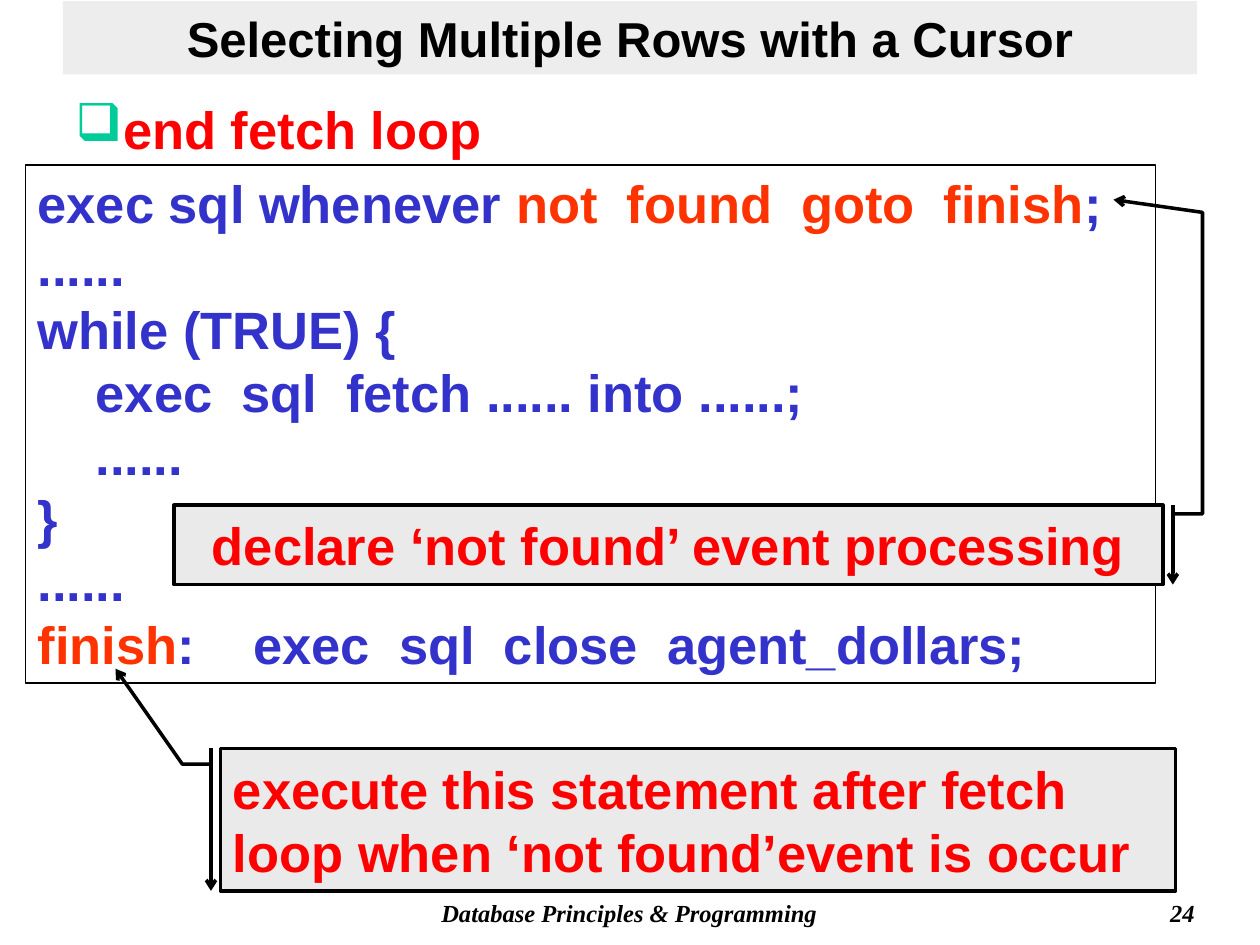
import pptx
import pptx.dml.color
import pptx.enum.shapes
import pptx.enum.text
import pptx.oxml
import pptx.oxml.ns
import pptx.util

RGBColor = pptx.dml.color.RGBColor
BLACK = RGBColor(0x00, 0x00, 0x00)
RED = RGBColor(0xFF, 0x00, 0x00)
ORANGE = RGBColor(0xFF, 0x33, 0x00)
BLUE = RGBColor(0x33, 0x33, 0xCC)
TITLE_GRAY = RGBColor(0xDD, 0xDD, 0xDD)
CALLOUT_GRAY = RGBColor(0xEA, 0xEA, 0xEA)
NAMESPACE = pptx.oxml.ns.nsdecls("a")

SHAPES = pptx.enum.shapes.MSO_SHAPE
LEFT = pptx.enum.text.PP_ALIGN.LEFT
CENTER = pptx.enum.text.PP_ALIGN.CENTER
RIGHT = pptx.enum.text.PP_ALIGN.RIGHT
TOP = pptx.enum.text.MSO_ANCHOR.TOP
MIDDLE = pptx.enum.text.MSO_ANCHOR.MIDDLE

presentation = pptx.Presentation()
presentation.slide_width = pptx.util.Inches(10)
presentation.slide_height = pptx.util.Inches(7.5)
slide = presentation.slides.add_slide(presentation.slide_layouts[6])

# The slide is a grid of 100 columns by 100 rows
COLUMN = presentation.slide_width / 100
ROW = presentation.slide_height / 100


def add_box(left, top, width, height, kind=SHAPES.RECTANGLE, fill=None, line_width=None, anchor=TOP):
    place = [int(left * COLUMN), int(top * ROW), int(width * COLUMN), int(height * ROW)]
    shape = slide.shapes.add_shape(kind, *place) if kind else slide.shapes.add_textbox(*place)
    if kind:
        shape.shadow.inherit = False
    if fill is None:
        shape.fill.background()
    else:
        shape.fill.solid()
        shape.fill.fore_color.rgb = fill
    if line_width is None:
        shape.line.fill.background()
    else:
        shape.line.color.rgb = BLACK
        shape.line.width = pptx.util.Pt(line_width)
    shape.text_frame.word_wrap = True
    shape.text_frame.vertical_anchor = anchor
    return shape


def format_paragraph(paragraph, size, color, align=LEFT, name="Arial", italic=None):
    paragraph.alignment = align
    if size == 30:
        paragraph.line_spacing = pptx.util.Pt(36)
    font = paragraph.font
    font.name, font.size, font.bold, font.italic = name, pptx.util.Pt(size), True, italic
    font.color.rgb = color


# Footer and slide number
for text, left, width, align in [
    ("Database Principles & Programming", 28.3, 43.3, CENTER),
    ("24", 75, 20.8, RIGHT),
]:
    footer = add_box(left, 94.4, width, 4.4, kind=None)
    footer.text_frame.text = text
    format_paragraph(footer.text_frame.paragraphs[0], 14, BLACK, align, "Times New Roman", True)

# Title on a half-transparent band
title = add_box(5, 0.13, 90, 7.73, fill=TITLE_GRAY, anchor=MIDDLE)
title_color = title.fill._xPr.find(".//" + pptx.oxml.ns.qn("a:srgbClr"))
title_color.append(pptx.oxml.parse_xml(f'<a:alpha {NAMESPACE} val="50000"/>'))
title.text_frame.text = "Selecting Multiple Rows with a Cursor"
format_paragraph(title.text_frame.paragraphs[0], 28, BLACK, CENTER)

# Bulleted heading
heading = add_box(5, 9.07, 90, 9.47, kind=None)
heading.text_frame.margin_top = pptx.util.Inches(0.09)
heading.text_frame.text = "end fetch loop"
paragraph = heading.text_frame.paragraphs[0]
properties = paragraph._p.get_or_add_pPr()
indent = pptx.util.Inches(0.38)
properties.set("marL", str(indent))
properties.set("indent", str(-indent))
for bullet in ['<a:buClr {}><a:srgbClr val="00CC99"/></a:buClr>', '<a:buChar {} char="❑"/>']:
    properties.append(pptx.oxml.parse_xml(bullet.format(NAMESPACE)))
format_paragraph(paragraph, 30, RED)

# Code listing
CODE = [
    [("exec sql whenever ", BLUE), ("not  found  goto  finish", ORANGE), (";", BLUE)],
    [("......", BLUE)],
    [("while (TRUE) {", BLUE)],
    [("    exec  sql  fetch ...... into ......;", BLUE)],
    [("    ......", BLUE)],
    [("}", BLUE)],
    [("......", BLUE)],
    [("finish", ORANGE), (":    exec  sql  close  agent_dollars;", BLUE)],
]
code_frame = add_box(2, 17.47, 89.7, 54.8, line_width=0.75).text_frame
for number, code_line in enumerate(CODE):
    paragraph = code_frame.add_paragraph() if number else code_frame.paragraphs[0]
    format_paragraph(paragraph, 30, BLUE)
    for text, color in code_line:
        run = paragraph.add_run()
        run.text = text
        run.font.color.rgb = color

# Callouts pointing at the code, adjustments as (y, x) shares of the box
CALLOUTS = [
    ("declare ‘not found’ event processing", CENTER,
     SHAPES.LINE_CALLOUT_3_BORDER_AND_ACCENT_BAR, (13.8, 53.47, 78.5, 8.4),
     [0.11, 1.01, 0.11, 1.04, -3.69, 1.04, -3.85, 0.95]),
    ("execute this statement after fetch loop when ‘not found’event is occur", LEFT,
     SHAPES.LINE_CALLOUT_2_BORDER_AND_ACCENT_BAR, (17.5, 79.2, 75.8, 15.07),
     [0.11, -0.01, 0.11, -0.04, -0.56, -0.11]),
]
for text, align, kind, place, adjustments in CALLOUTS:
    callout = add_box(*place, kind=kind, fill=CALLOUT_GRAY, line_width=2, anchor=MIDDLE)
    for index, value in enumerate(adjustments):
        callout.adjustments[index] = value
    callout.line._get_or_add_ln().append(
        pptx.oxml.parse_xml(f'<a:tailEnd {NAMESPACE} type="arrow"/>'))
    callout.text_frame.text = text
    format_paragraph(callout.text_frame.paragraphs[0], 30, RED, align)

presentation.save("out.pptx")
